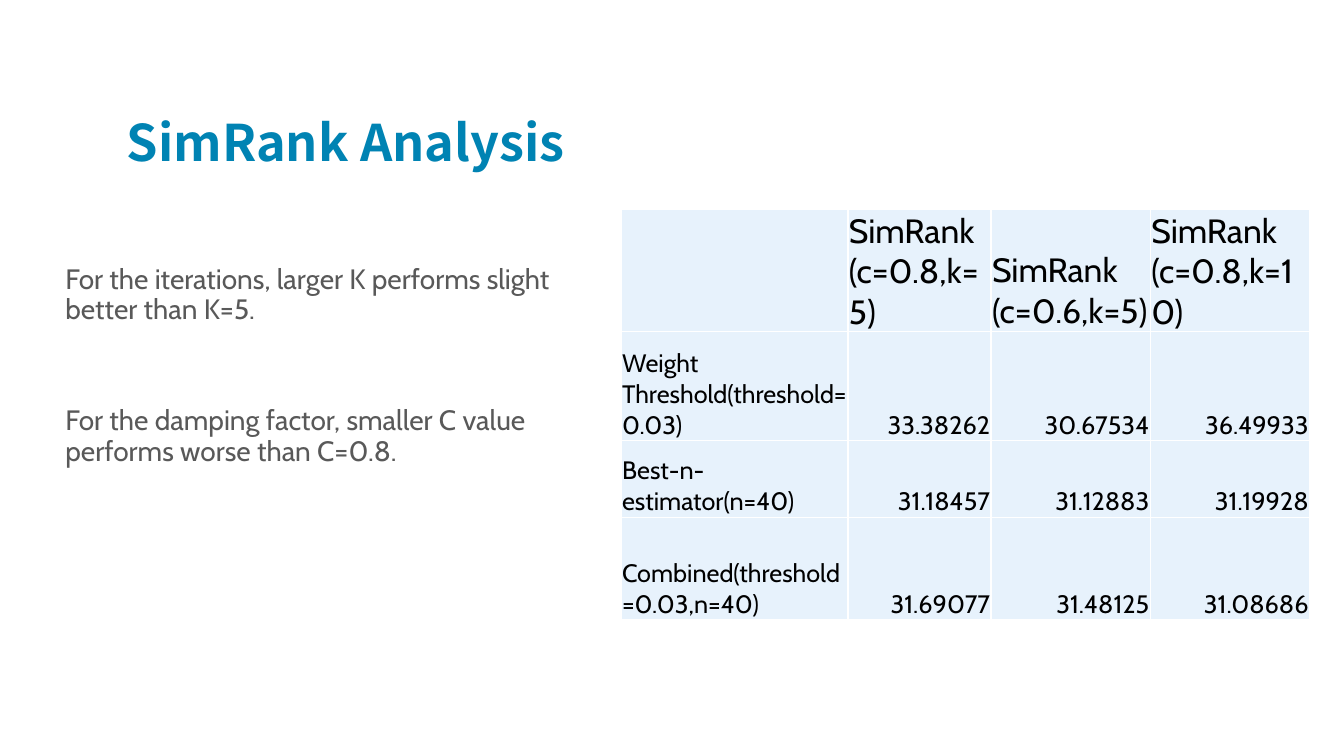
from dataclasses import dataclass
from typing import Any

from lxml import etree
from pptx import Presentation
from pptx.dml.color import RGBColor
from pptx.enum.text import MSO_ANCHOR, PP_ALIGN
from pptx.oxml.ns import qn
from pptx.util import Inches, Pt

LEFT, RIGHT = PP_ALIGN.LEFT, PP_ALIGN.RIGHT
TOP, BOTTOM = MSO_ANCHOR.TOP, MSO_ANCHOR.BOTTOM


@dataclass(frozen=True)
class Theme:
    title_color: str = "0083B3"
    body_color: str = "595959"
    cell_color: str = "000000"
    cell_fill: str = "E7F2FC"
    border: str = "FFFFFF"
    border_width: float = 1
    title_font: str = "Noto Sans CJK SC"
    body_font: str = "Cabin"
    title_size: int = 36
    body_size: int = 20
    header_size: int = 24
    cell_size: int = 18


@dataclass(frozen=True)
class TextStyle:
    font: str
    size: int
    color: str
    bold: bool = False


@dataclass(frozen=True)
class TextBlock:
    box: tuple[float, float, float, float]
    lines: list[str]
    style: TextStyle
    anchor: Any
    indent: float = 0
    line_spacing: float = 1.0
    gap: float = 0


THEME = Theme()
TITLE = TextStyle(THEME.title_font, THEME.title_size, THEME.title_color, True)
BODY = TextStyle(THEME.body_font, THEME.body_size, THEME.body_color)
HEADER = TextStyle(THEME.body_font, THEME.header_size, THEME.cell_color)
CELL = TextStyle(THEME.body_font, THEME.cell_size, THEME.cell_color)

BLOCKS = [
    TextBlock((1.16, 0.58, 9.5, 1.17), ["SimRank Analysis"], TITLE, BOTTOM),
    TextBlock(
        (0.5, 2.58, 5.17, 2.42),
        [
            "For the iterations, larger K performs slight better than K=5.",
            "For the damping factor, smaller C value performs worse than C=0.8.",
        ],
        BODY, TOP, indent=0.05, line_spacing=0.9, gap=58,
    ),
]

TABLE_LEFT, TABLE_TOP = 6.16, 2.08
COL_WIDTHS = [2.25, 1.42, 1.58, 1.58]
ROW_HEIGHTS = [1.2, 1.08, 0.76, 1.02]
TABLE_ROWS = [
    ["", "SimRank\n(c=0.8,k=5)", "SimRank\n(c=0.6,k=5)", "SimRank\n(c=0.8,k=10)"],
    ["Weight Threshold(threshold=0.03)", "33.38262", "30.67534", "36.49933"],
    ["Best-n-estimator(n=40)", "31.18457", "31.12883", "31.19928"],
    ["Combined(threshold=0.03,n=40)", "31.69077", "31.48125", "31.08686"],
]
CELL_FORMAT = {
    "margin_left": Inches(0.01),
    "margin_right": Inches(0.01),
    "margin_top": Inches(0.01),
    "margin_bottom": Inches(0),
    "vertical_anchor": BOTTOM,
}


def set_attributes(target: Any, values: dict[str, Any]) -> None:
    for name, value in values.items():
        setattr(target, name, value)


def style_font(font: Any, style: TextStyle) -> None:
    set_attributes(font, {"name": style.font, "size": Pt(style.size), "bold": style.bold})
    font.color.rgb = RGBColor.from_string(style.color)


def add_text_block(s: Any, block: TextBlock) -> None:
    tf = s.shapes.add_textbox(*map(Inches, block.box)).text_frame
    set_attributes(tf, {"word_wrap": True, "vertical_anchor": block.anchor})
    for i, line in enumerate(block.lines):
        p = tf.add_paragraph() if i else tf.paragraphs[0]
        p.line_spacing = block.line_spacing
        p.space_before = Pt(block.gap if i else 0)
        if block.indent:
            p._p.get_or_add_pPr().set("marL", str(Inches(block.indent)))
        r = p.add_run()
        r.text = line
        style_font(r.font, block.style)


def add_borders(cell: Any) -> None:
    tc_pr = cell._tc.get_or_add_tcPr()
    for i, side in enumerate(("lnL", "lnR", "lnT", "lnB")):
        ln = etree.Element(qn(f"a:{side}"), w=str(Pt(THEME.border_width)))
        fill = etree.SubElement(ln, qn("a:solidFill"))
        etree.SubElement(fill, qn("a:srgbClr"), val=THEME.border)
        tc_pr.insert(i, ln)


def fill_cell(cell: Any, text: str, style: TextStyle, align: Any) -> None:
    set_attributes(cell, CELL_FORMAT)
    cell.fill.solid()
    cell.fill.fore_color.rgb = RGBColor.from_string(THEME.cell_fill)
    add_borders(cell)
    cell.text = text
    for p in cell.text_frame.paragraphs:
        p.alignment = align
        for r in p.runs:
            style_font(r.font, style)


def add_results_table(s: Any) -> None:
    size = (sum(COL_WIDTHS), sum(ROW_HEIGHTS))
    table = s.shapes.add_table(
        len(ROW_HEIGHTS), len(COL_WIDTHS),
        *map(Inches, (TABLE_LEFT, TABLE_TOP, *size)),
    ).table
    set_attributes(table, {"first_row": False, "horz_banding": False})
    for column, width in zip(table.columns, COL_WIDTHS):
        column.width = Inches(width)
    for i, (row, height) in enumerate(zip(table.rows, ROW_HEIGHTS)):
        row.height = Inches(height)
        for j, text in enumerate(TABLE_ROWS[i]):
            style = CELL if i else HEADER
            fill_cell(table.cell(i, j), text, style, RIGHT if i and j else LEFT)


def main() -> None:
    prs = Presentation()
    set_attributes(prs, {"slide_width": Inches(13.33), "slide_height": Inches(7.5)})
    s = prs.slides.add_slide(prs.slide_layouts[6])
    for block in BLOCKS:
        add_text_block(s, block)
    add_results_table(s)
    prs.save("out.pptx")


if __name__ == "__main__":
    main()
